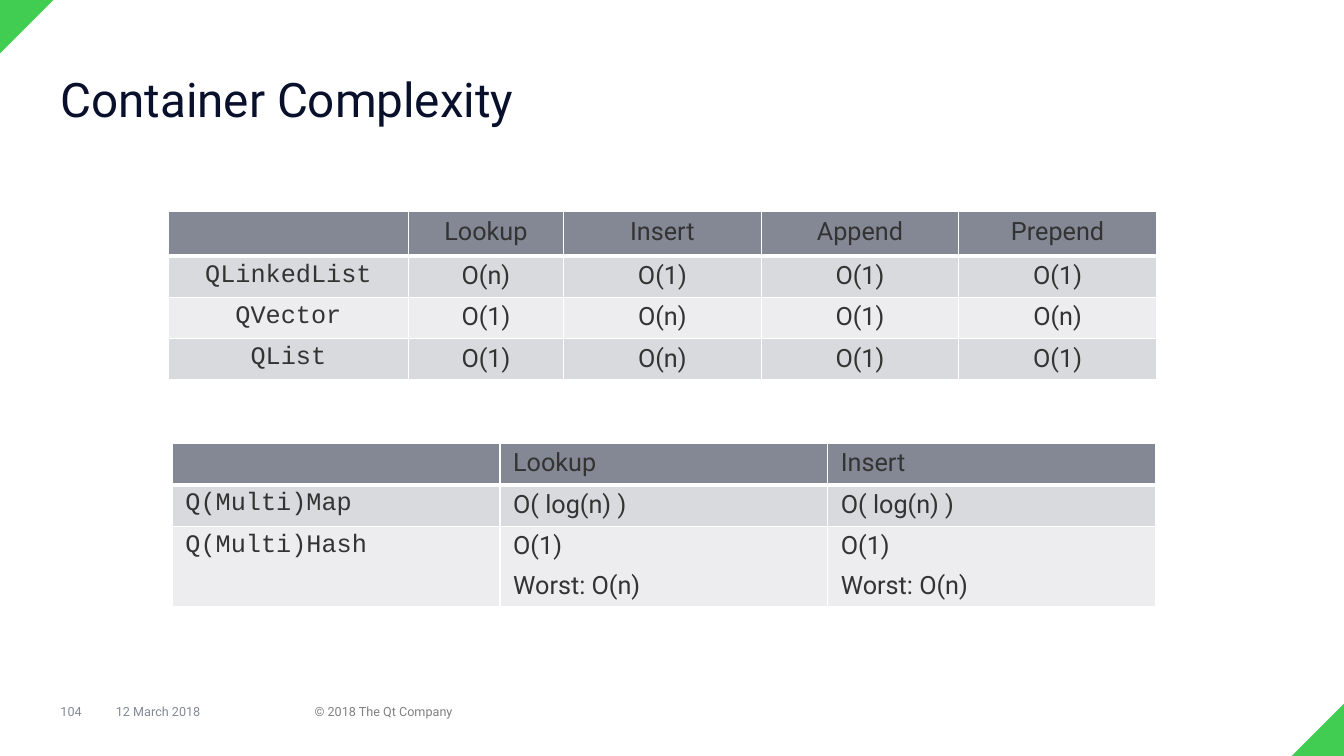
from lxml.etree import SubElement
from pptx import Presentation
from pptx.dml.color import RGBColor
from pptx.enum.shapes import MSO_SHAPE
from pptx.enum.text import MSO_ANCHOR, PP_ALIGN
from pptx.oxml.ns import qn
from pptx.util import Inches, Pt

GREEN = RGBColor(0x41, 0xCD, 0x52)
NAVY = RGBColor(0x09, 0x10, 0x2B)
SLATE = RGBColor(0x84, 0x88, 0x95)
GREY = RGBColor(0x80, 0x80, 0x80)
INK = RGBColor(0x33, 0x33, 0x33)
BANDS = (RGBColor(0xD9, 0xDA, 0xDD), RGBColor(0xED, 0xED, 0xEF))

SANS, MONO = "Roboto", "Courier New"

# Content
TITLE = "Container Complexity"
SEQUENTIAL = [
    ("", "Lookup", "Insert", "Append", "Prepend"),
    ("QLinkedList", "O(n)", "O(1)", "O(1)", "O(1)"),
    ("QVector", "O(1)", "O(n)", "O(1)", "O(n)"),
    ("QList", "O(1)", "O(n)", "O(1)", "O(1)"),
]
ASSOCIATIVE = [
    ("", "Lookup", "Insert"),
    ("Q(Multi)Map", "O( log(n) )", "O( log(n) )"),
    ("Q(Multi)Hash", "O(1)\nWorst: O(n)", "O(1)\nWorst: O(n)"),
]
# text, left, width, colour
FOOTER = [
    ("104", 0.6, 0.55, SLATE),
    ("12 March 2018", 1.15, 1.97, SLATE),
    ("© 2018 The Qt Company", 3.12, 9.61, GREY),
]
# left, top, size, flip
CORNERS = [(-0.01, 0, 0.54, "flipV"), (12.81, 6.98, 0.52, "flipH")]


def style_runs(paragraph, size, color, font=SANS):
    for run in paragraph.runs:
        run.font.name = font
        run.font.size = Pt(size)
        run.font.bold = False
        run.font.color.rgb = color


def add_label(slide, text, left, top, width, height, size, color, anchor):
    frame = slide.shapes.add_textbox(
        Inches(left), Inches(top), Inches(width), Inches(height)).text_frame
    frame.margin_left = frame.margin_right = 0
    frame.margin_top = frame.margin_bottom = 0
    frame.word_wrap = True
    frame.vertical_anchor = anchor
    frame.text = text
    style_runs(frame.paragraphs[0], size, color)
    return frame.paragraphs[0]


def set_borders(cell, top, bottom):
    properties = cell._tc.get_or_add_tcPr()
    for side, points in (("L", 1), ("R", 1), ("T", top), ("B", bottom)):
        line = SubElement(properties, qn(f"a:ln{side}"), w=str(Pt(points)))
        SubElement(SubElement(line, qn("a:solidFill")), qn("a:srgbClr"), val="FFFFFF")


def add_complexity_table(slide, rows, left, top, widths, heights, side_margin, align):
    table = slide.shapes.add_table(
        len(rows), len(widths), Inches(left), Inches(top),
        Inches(sum(widths)), Inches(sum(heights))).table
    for column, width in zip(table.columns, widths):
        column.width = Inches(width)
    for r, (row, height) in enumerate(zip(rows, heights)):
        table.rows[r].height = Inches(height)
        for c, text in enumerate(row):
            cell = table.cell(r, c)
            cell.margin_left = cell.margin_right = Inches(side_margin)
            cell.margin_top = cell.margin_bottom = Inches(0.05)
            # A thick rule separates the header from the body
            set_borders(cell, 3 if r == 1 else 1, 3 if r == 0 else 1)
            cell.fill.solid()
            cell.fill.fore_color.rgb = BANDS[(r - 1) % 2] if r else SLATE
            cell.text_frame.text = text
            for i, paragraph in enumerate(cell.text_frame.paragraphs):
                paragraph.alignment = align
                if i:
                    paragraph.space_before = Pt(7.2)
                style_runs(paragraph, 18, INK, SANS if c else MONO)


def main():
    deck = Presentation()
    deck.slide_width, deck.slide_height = Inches(13.33), Inches(7.5)
    slide = deck.slides.add_slide(deck.slide_layouts[6])

    # Corner triangles
    for left, top, size, flip in CORNERS:
        corner = slide.shapes.add_shape(
            MSO_SHAPE.RIGHT_TRIANGLE, Inches(left), Inches(top), Inches(size), Inches(size))
        corner.shadow.inherit = False
        corner.fill.solid()
        corner.fill.fore_color.rgb = GREEN
        corner.line.fill.background()
        corner._element.spPr.xfrm.set(flip, "1")

    # Title
    heading = add_label(slide, TITLE, 0.6, 0.76, 12.13, 1.02, 34, NAVY, MSO_ANCHOR.TOP)
    heading.line_spacing = 0.9

    # Complexity tables
    add_complexity_table(slide, SEQUENTIAL, 1.67, 2.1, [2.38, 1.54] + [1.96] * 3,
                         [0.44] + [0.41] * 3, 0.14, PP_ALIGN.CENTER)
    add_complexity_table(slide, ASSOCIATIVE, 1.71, 4.4, [3.25] * 3,
                         [0.41, 0.41, 0.79], 0.13, PP_ALIGN.LEFT)

    # Footer
    for text, left, width, color in FOOTER:
        add_label(slide, text, left, 6.98, width, 0.16, 9, color, MSO_ANCHOR.MIDDLE)

    deck.save("out.pptx")


if __name__ == "__main__":
    main()
